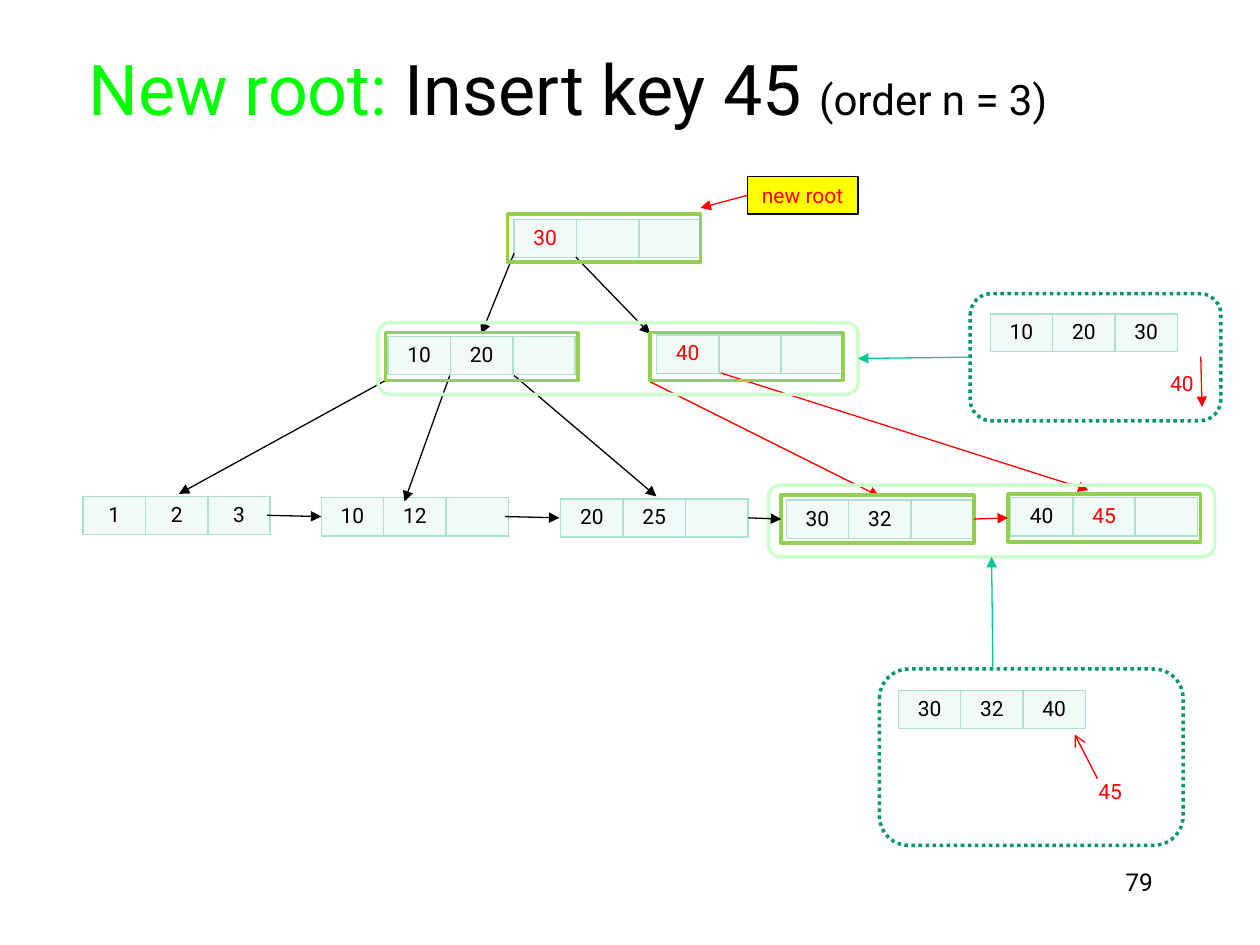
from lxml.etree import SubElement
from pptx import Presentation
from pptx.dml.color import RGBColor
from pptx.enum.dml import MSO_LINE_DASH_STYLE as DASH
from pptx.enum.shapes import MSO_CONNECTOR, MSO_SHAPE
from pptx.enum.text import MSO_ANCHOR, MSO_AUTO_SIZE, PP_ALIGN
from pptx.oxml.ns import qn
from pptx.util import Inches, Pt

FONT = "Roboto"
COLORS = {
    "black": "000000", "red": "FF0000", "title": "00FF00", "yellow": "FFFF00",
    "cell": "F1FAF6", "grid": "AAE2CA", "frame": "92D050", "group": "CCFFCC",
    "overflow": "009771", "link": "00C896",
}
CELL_WIDTH, CELL_HEIGHT = 0.495, 0.3
FRAME_SIZE = (1.53, 0.38)
TOP, LEFT, BOTTOM, RIGHT = range(4)

# Node position and its keys; keys in NEW_KEYS are written in red
NODES = {
    "root": (4.08, 1.74, ["30", "", ""]),
    "left child": (3.08, 2.67, ["10", "20", ""]),
    "right child": (5.21, 2.66, ["40", "", ""]),
    "leaf 1": (0.66, 3.94, ["1", "2", "3"]),
    "leaf 2": (2.55, 3.95, ["10", "12", ""]),
    "leaf 3": (4.45, 3.96, ["20", "25", ""]),
    "leaf 4": (6.24, 3.97, ["30", "32", ""]),
    "leaf 5": (8.02, 3.95, ["40", "45", ""]),
    "full parent": (7.86, 2.49, ["10", "20", "30"]),
    "full leaf": (7.13, 5.48, ["30", "32", "40"]),
}
NEW_KEYS = {("root", "30"), ("right child", "40"), ("leaf 5", "45")}

ARROWS = [
    # Root and left child pointers
    ((4.08, 2.01), (3.82, 2.65), "black"),
    ((4.57, 2.04), (5.16, 2.65), "black"),
    ((3.06, 3.02), (1.42, 3.92), "black"),
    ((3.57, 2.98), (3.21, 3.98), "black"),
    ((4.08, 2.98), (5.21, 3.94), "black"),
    # Right child pointers
    ((5.16, 3.03), (6.98, 3.94), "red"),
    ((5.72, 2.96), (8.64, 3.89), "red"),
    # Leaf chain
    ((2.12, 4.09), (2.55, 4.1), "black"),
    ((4.01, 4.1), (4.44, 4.11), "black"),
    # Key pushed out of the full parent
    ((9.53, 2.83), (9.54, 3.23), "red"),
]


def rgb(name):
    return RGBColor.from_string(COLORS[name])


def write_text(paragraph, text, size=12, color="black", align=None):
    if align is not None:
        paragraph.alignment = align
    run = paragraph.add_run()
    run.text = text
    run.font.name = FONT
    run.font.size = Pt(size)
    run.font.color.rgb = rgb(color)


def add_label(slide, box, text, side_margin=0.0, align=PP_ALIGN.CENTER, **text_format):
    frame = slide.shapes.add_textbox(*map(Inches, box)).text_frame
    frame.word_wrap = True
    frame.auto_size = MSO_AUTO_SIZE.NONE
    frame.margin_left = frame.margin_right = Inches(side_margin)
    write_text(frame.paragraphs[0], text, align=align, **text_format)


def add_border(cell):
    properties = cell._tc.get_or_add_tcPr()
    for index, side in enumerate(("a:lnL", "a:lnR", "a:lnT", "a:lnB")):
        line = properties.makeelement(qn(side), {"w": str(Pt(1))})
        fill = SubElement(line, qn("a:solidFill"))
        SubElement(fill, qn("a:srgbClr")).set("val", COLORS["grid"])
        properties.insert(index, line)


def add_node(slide, name):
    left, top, keys = NODES[name]
    size = (CELL_WIDTH * len(keys), CELL_HEIGHT)
    table = slide.shapes.add_table(
        1, len(keys), *map(Inches, (left, top, *size))).table
    table.first_row = table.horz_banding = False
    for cell, key in zip(table.rows[0].cells, keys):
        cell.fill.solid()
        cell.fill.fore_color.rgb = rgb("cell")
        add_border(cell)
        paragraph = cell.text_frame.paragraphs[0]
        if key:
            color = "red" if (name, key) in NEW_KEYS else "black"
            write_text(paragraph, key, color=color, align=PP_ALIGN.CENTER)
        else:
            # Keeps an empty cell from growing to the default text size
            SubElement(paragraph._p, qn("a:endParaRPr")).set("sz", "1200")


def add_box(slide, box, color, kind=MSO_SHAPE.RECTANGLE, width=2, dash=None, fill=None):
    shape = slide.shapes.add_shape(kind, *map(Inches, box))
    shape.shadow.inherit = False
    if fill:
        shape.fill.solid()
        shape.fill.fore_color.rgb = rgb(fill)
    else:
        shape.fill.background()
    shape.line.color.rgb = rgb(color)
    shape.line.width = Pt(width)
    if dash:
        shape.line.dash_style = dash
    return shape


def add_arrow(slide, start, end, color, head="triangle", begin=None, finish=None):
    connector = slide.shapes.add_connector(
        MSO_CONNECTOR.STRAIGHT, *map(Inches, (*start, *end)))
    connector.line.color.rgb = rgb(color)
    connector.line.width = Pt(0.75)
    SubElement(connector.line._get_or_add_ln(), qn("a:tailEnd")).set("type", head)
    SubElement(connector._element.spPr, qn("a:effectLst"))
    if begin:
        connector.begin_connect(*begin)
    if finish:
        connector.end_connect(*finish)


def add_title(slide):
    title = slide.shapes.title
    title.left, title.top, title.width, title.height = map(
        Inches, (0.6, 0.31, 8.87, 0.65))
    frame = title.text_frame
    frame.word_wrap = True
    frame.auto_size = MSO_AUTO_SIZE.NONE
    frame.vertical_anchor = MSO_ANCHOR.TOP
    paragraph = frame.paragraphs[0]
    write_text(paragraph, "New root: ", size=40, color="title", align=PP_ALIGN.LEFT)
    write_text(paragraph, "Insert key 45 ", size=40)
    write_text(paragraph, "(order n = 3)", size=24)


def main():
    presentation = Presentation()
    presentation.slide_width, presentation.slide_height = Inches(10), Inches(7.5)
    slide = presentation.slides.add_slide(presentation.slide_layouts[5])
    add_title(slide)

    # Tree nodes and their pointers
    for name in NODES:
        add_node(slide, name)
    for start, end, color in ARROWS:
        add_arrow(slide, start, end, color)
    add_arrow(slide, (8.71, 6.18), (8.53, 5.83), "red", head="arrow")

    # Frames around the nodes that changed
    for corner in ((4.03, 1.7), (3.06, 2.64), (5.16, 2.64)):
        add_box(slide, (*corner, *FRAME_SIZE), "frame")
    leaf_4 = add_box(slide, (6.2, 3.93, *FRAME_SIZE), "frame")
    leaf_5 = add_box(slide, (8, 3.92, *FRAME_SIZE), "frame")

    # Split results and the overfull nodes they come from
    rounded = MSO_SHAPE.ROUNDED_RECTANGLE
    parents = add_box(slide, (3, 2.56, 3.81, 0.57), "group", rounded)
    leaves = add_box(slide, (6.1, 3.85, 3.54, 0.57), "group", rounded)
    full_parent = add_box(
        slide, (7.7, 2.33, 1.99, 1.01), "overflow", rounded, dash=DASH.ROUND_DOT)
    add_box(slide, (6.98, 5.31, 2.41, 1.4), "overflow", rounded, dash=DASH.ROUND_DOT)

    # Labels
    add_label(slide, (9.19, 2.89, 0.38, 0.3), "40", color="red")
    add_label(slide, (8.62, 6.13, 0.38, 0.3), "45", color="red")
    new_root = add_box(
        slide, (5.93, 1.4, 0.88, 0.3), "black", width=0.75, fill="yellow")
    new_root.text_frame.word_wrap = False
    write_text(new_root.text_frame.paragraphs[0], "new root", color="red",
               align=PP_ALIGN.CENTER)
    add_label(slide, (7.17, 6.83, 2.08, 0.5), "79", side_margin=0.1,
              align=PP_ALIGN.RIGHT, size=14)

    # Arrows joined to boxes
    add_arrow(slide, (5.93, 1.55), (5.56, 1.65), "red", begin=(new_root, LEFT))
    add_arrow(slide, (5.94, 4.11), (6.2, 4.12), "black", finish=(leaf_4, LEFT))
    add_arrow(slide, (7.73, 4.12), (8, 4.11), "red",
              begin=(leaf_4, RIGHT), finish=(leaf_5, LEFT))
    add_arrow(slide, (7.7, 2.83), (6.81, 2.85), "link",
              begin=(full_parent, LEFT), finish=(parents, RIGHT))
    add_arrow(slide, (7.88, 5.31), (7.87, 4.42), "link", finish=(leaves, BOTTOM))

    presentation.save("out.pptx")


if __name__ == "__main__":
    main()
